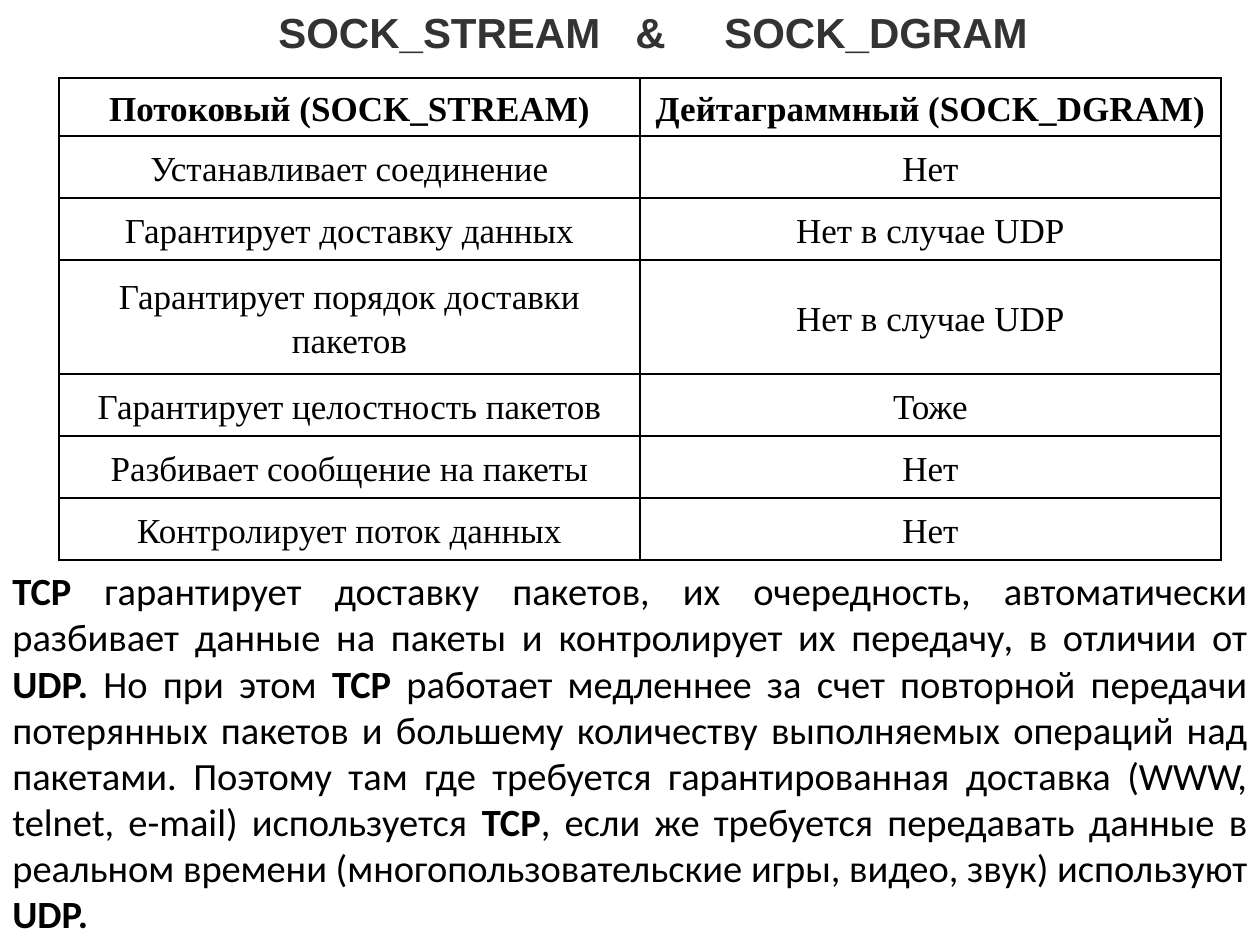
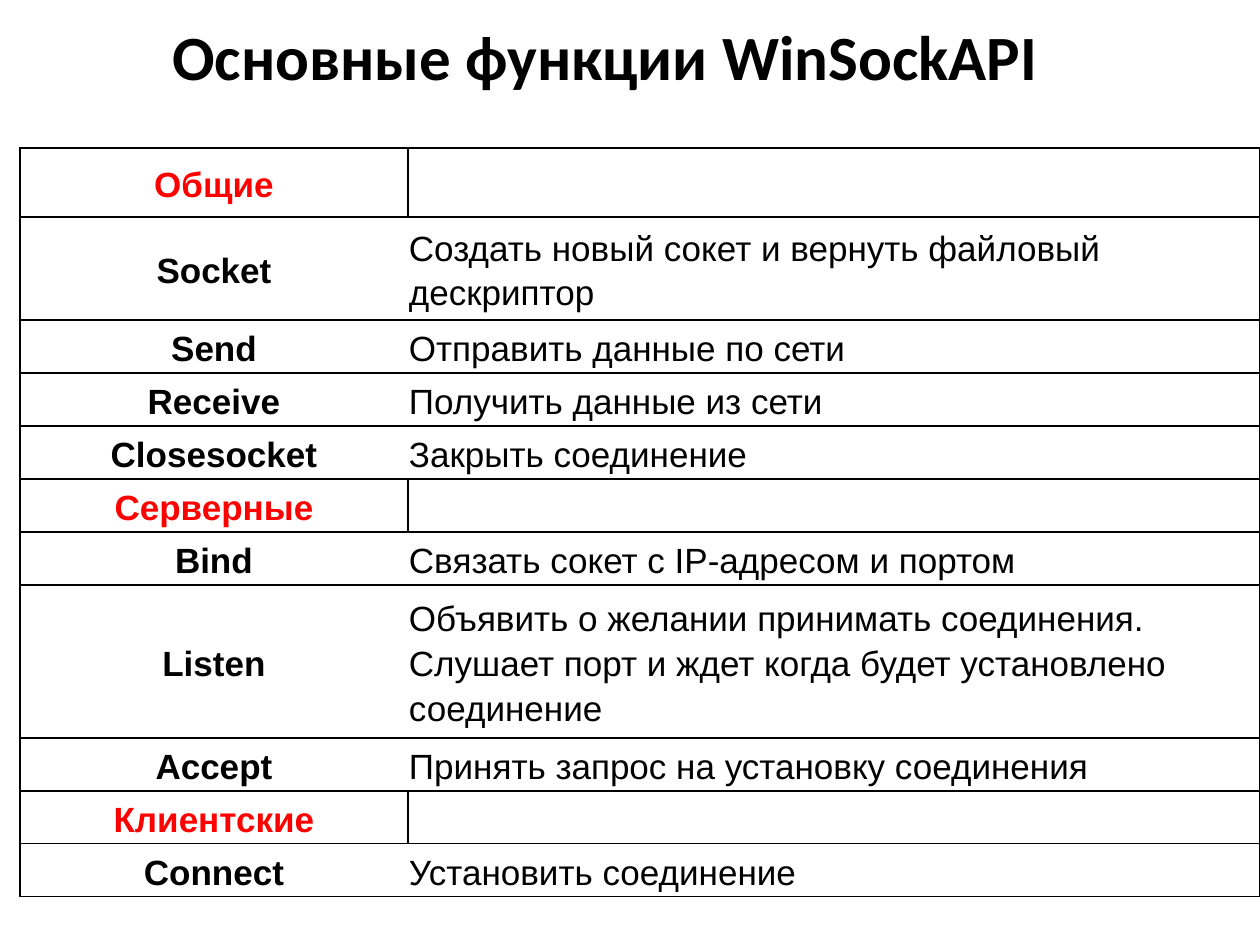
from lxml import etree
from pptx import Presentation
from pptx.dml.color import RGBColor
from pptx.enum.shapes import MSO_SHAPE
from pptx.enum.text import MSO_ANCHOR, MSO_AUTO_SIZE, PP_ALIGN
from pptx.oxml.ns import qn
from pptx.util import Inches, Pt

LEFT, CENTER, JUSTIFY = PP_ALIGN.LEFT, PP_ALIGN.CENTER, PP_ALIGN.JUSTIFY
MIDDLE, TOP = MSO_ANCHOR.MIDDLE, MSO_ANCHOR.TOP
GROW = MSO_AUTO_SIZE.SHAPE_TO_FIT_TEXT
RECTANGLE = MSO_SHAPE.RECTANGLE

SCALE = Inches(1) // 126
COLORS = {"black": "000000", "white": "FFFFFF", "gray": "333333", "red": "FF0000"}
SERIF, SANS, BODY = "Times New Roman", "Arial", "Calibri"
CELL_MARGIN = 1
SPACING = 1.15
SIDES = ("L", "R", "T", "B")

SOCKETS_TITLE = "SOCK_STREAM\t&\tSOCK_DGRAM"
TITLE_TABS = (357, 446)
SOCKET_TYPES = [
    (58, "Потоковый (SOCK_STREAM)", "Дейтаграммный (SOCK_DGRAM)"),
    (62, "Устанавливает соединение", "Нет"),
    (62, "Гарантирует доставку данных", "Нет в случае UDP"),
    (114, "Гарантирует порядок доставки пакетов", "Нет в случае UDP"),
    (62, "Гарантирует целостность пакетов", "Тоже"),
    (62, "Разбивает сообщение на пакеты", "Нет"),
    (62, "Контролирует поток данных", "Нет"),
]
PROTOCOLS = [
    ("TCP", True),
    (" гарантирует доставку пакетов, их очередность, автоматически разбивает данные "
     "на пакеты и контролирует их передачу, в отличии от ", False),
    ("UDP.", True),
    (" Но при этом ", False),
    ("TCP", True),
    (" работает медленнее за счет повторной передачи потерянных пакетов и большему "
     "количеству выполняемых операций над пакетами. Поэтому там где требуется "
     "гарантированная доставка (WWW, telnet, e-mail) используется ", False),
    ("TCP", True),
    (", если же требуется передавать данные в реальном времени (многопользовательские "
     "игры, видео, звук) используют ", False),
    ("UDP.", True),
]

FUNCTIONS_TITLE = "Основные функции WinSockAPI"
FUNCTIONS = [
    (69, "Общие", ""),
    (103, "Socket", "Создать новый сокет и вернуть файловый дескриптор"),
    (53, "Send", "Отправить данные по сети"),
    (53, "Receive", "Получить данные из сети"),
    (53, "Closesocket", "Закрыть соединение"),
    (53, "Серверные", ""),
    (53, "Bind", "Связать сокет с IP-адресом и портом"),
    (153, "Listen", "Объявить о желании принимать соединения. Слушает порт и ждет "
                    "когда будет установлено соединение"),
    (53, "Accept", "Принять запрос на установку соединения"),
    (53, "Клиентские", ""),
    (53, "Connect", "Установить соединение"),
]


def pixels(*lengths):
    return [length * SCALE for length in lengths]


def write(frame, text, font=SANS, size=20, color="black", bold=False, align=LEFT,
          spacing=None):
    para = frame.paragraphs[0]
    para.alignment = align
    if spacing:
        para.line_spacing = spacing
    spans = [(text, bold)] if isinstance(text, str) else text
    for words, heavy in spans:
        span = para.add_run()
        span.text = words
        span.font.name = font
        span.font.size = Pt(size)
        span.font.bold = heavy
        span.font.color.rgb = RGBColor.from_string(COLORS[color])
    return para


def add_box(page, place, text, anchor=TOP, fill=None, **style):
    if fill:
        box = page.shapes.add_shape(RECTANGLE, *pixels(*place))
        box.shadow.inherit = False
        box.fill.solid()
        box.fill.fore_color.rgb = RGBColor.from_string(COLORS[fill])
        box.line.fill.background()
    else:
        box = page.shapes.add_textbox(*pixels(*place))
    frame = box.text_frame
    frame.word_wrap = True
    frame.auto_size = GROW
    frame.vertical_anchor = anchor
    return write(frame, text, **style)


def set_tabs(para, stops):
    tabs = etree.SubElement(para._p.get_or_add_pPr(), qn("a:tabLst"))
    for stop in stops:
        etree.SubElement(tabs, qn("a:tab"), pos=str(stop * SCALE), algn="l")


def set_borders(cell, drawn):
    properties = cell._tc.get_or_add_tcPr()
    for side in SIDES:
        line = etree.SubElement(properties, qn("a:ln" + side), w=str(Pt(1)))
        if side in drawn:
            paint = etree.SubElement(line, qn("a:solidFill"))
            etree.SubElement(paint, qn("a:srgbClr"), val=COLORS["black"])
        else:
            etree.SubElement(line, qn("a:noFill"))


def add_grid(page, left, top, widths, rows, cell_style):
    heights = [row[0] for row in rows]
    place = pixels(left, top, sum(widths), sum(heights))
    table = page.shapes.add_table(len(rows), len(widths), *place).table
    table.first_row = table.horz_banding = False
    for column, width in zip(table.columns, widths):
        column.width = width * SCALE
    for number, (height, *texts) in enumerate(rows):
        table.rows[number].height = height * SCALE
        for position, text in enumerate(texts):
            cell = table.cell(number, position)
            drawn, style = cell_style(number, position, texts)
            set_borders(cell, drawn)
            cell.fill.background()
            cell.vertical_anchor = MIDDLE
            cell.margin_left = cell.margin_right = CELL_MARGIN * SCALE
            cell.margin_top = cell.margin_bottom = CELL_MARGIN * SCALE
            if text:
                write(cell.text_frame, text, spacing=SPACING, **style)


def socket_style(number, position, texts):
    return SIDES, dict(font=SERIF, bold=number == 0, align=CENTER)


def function_style(number, position, texts):
    heading = not texts[1]
    if position == 0:
        drawn = SIDES if heading else ("L", "T", "B")
        color = "red" if heading else "black"
        return drawn, dict(color=color, bold=True, align=CENTER)
    return SIDES if heading else ("R", "T", "B"), {}


deck = Presentation()
deck.slide_width, deck.slide_height = pixels(1260, 945)
blank = deck.slide_layouts[6]

page = deck.slides.add_slide(blank)
add_grid(page, 59, 78, (581, 581), SOCKET_TYPES, socket_style)
title = add_box(page, (266, 0, 781, 63), SOCKETS_TITLE, anchor=MIDDLE, fill="white",
                size=24, color="gray", bold=True)
set_tabs(title, TITLE_TABS)
add_box(page, (0, 561, 1260, 425), PROTOCOLS, font=BODY, size=22, align=JUSTIFY)

page = deck.slides.add_slide(blank)
add_grid(page, 20, 148, (388, 852), FUNCTIONS, function_style)
add_box(page, (59, 0, 1092, 95), FUNCTIONS_TITLE, font=BODY, size=36, bold=True,
        align=CENTER, spacing=SPACING)

deck.save("out.pptx")
